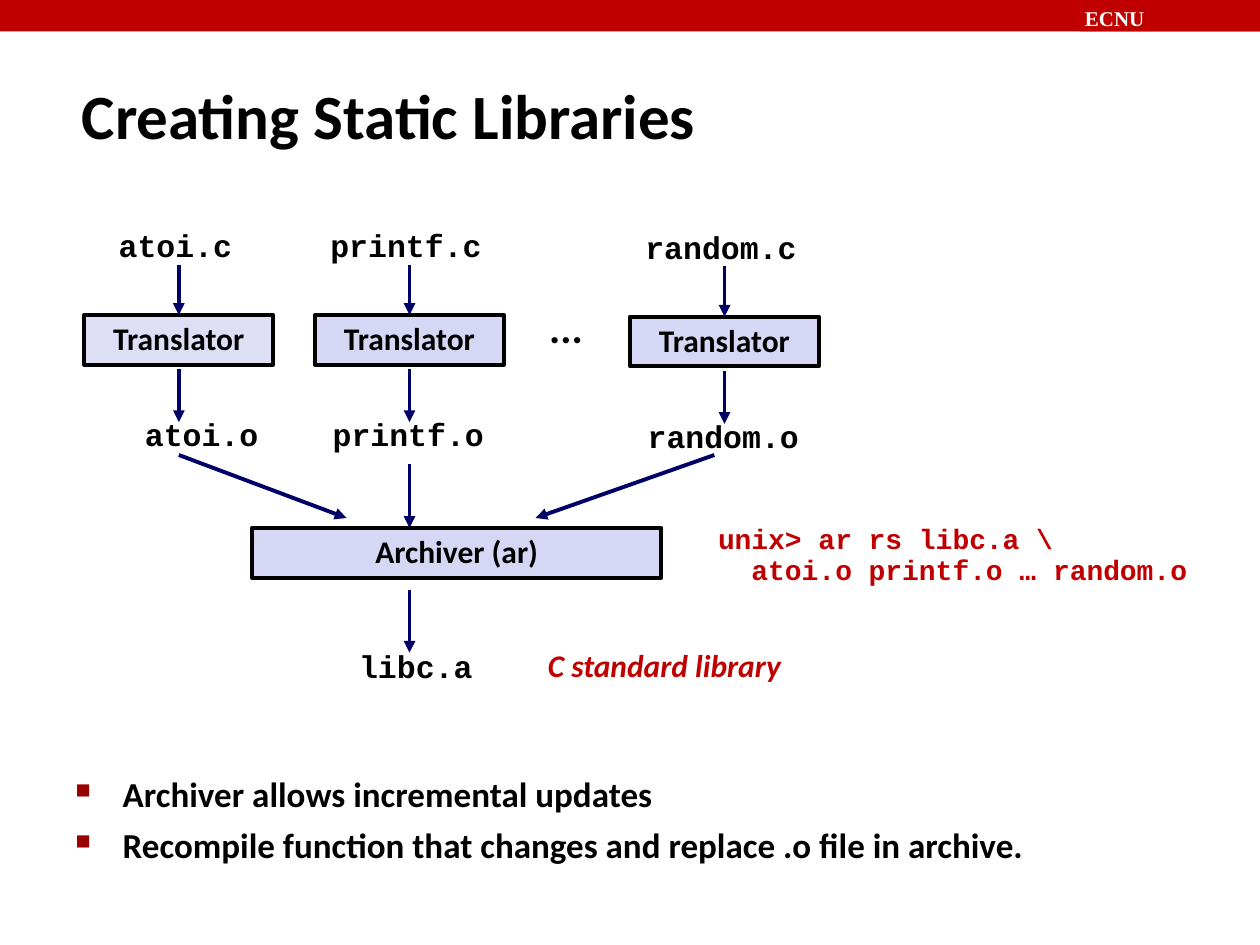
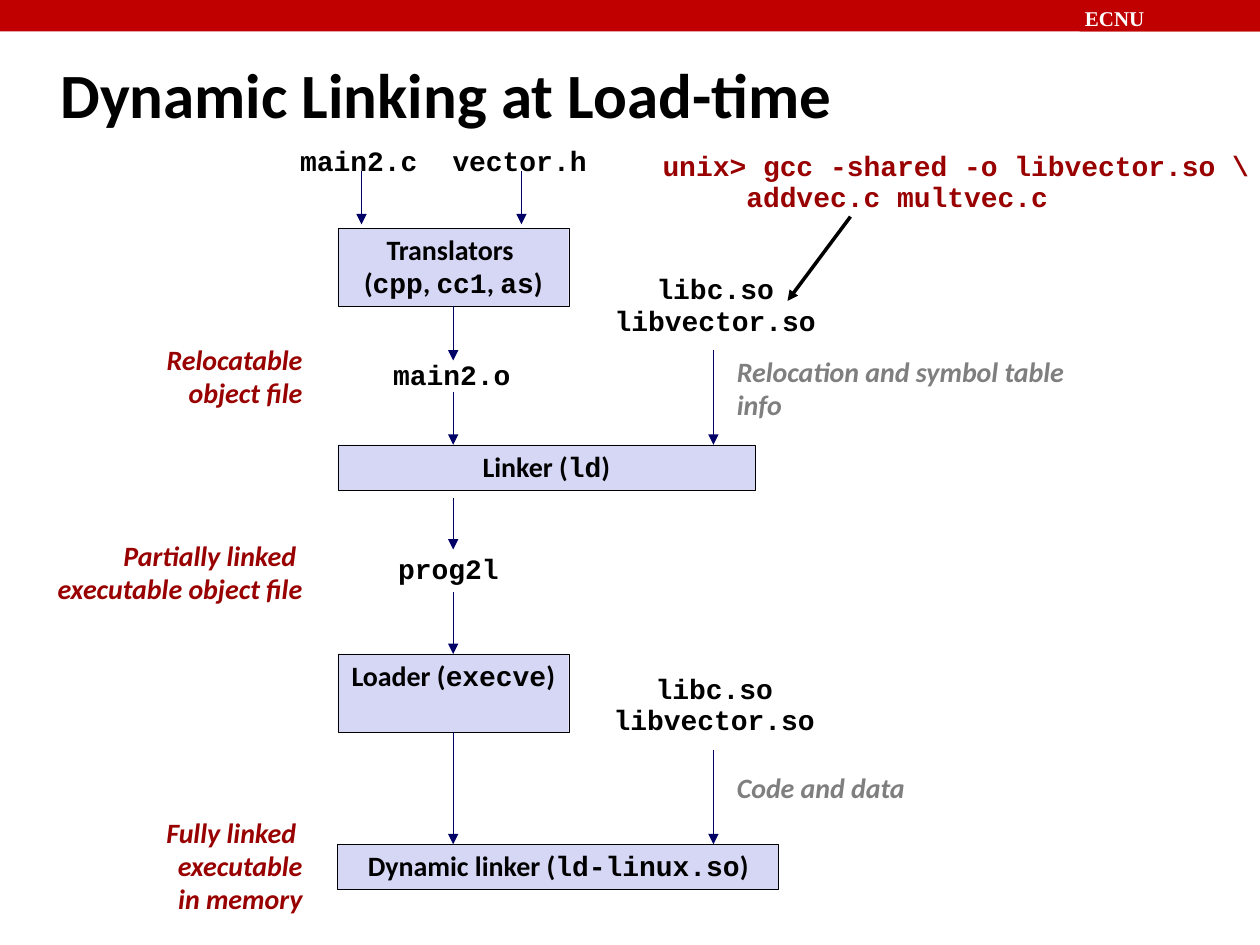
from dataclasses import dataclass

from lxml.etree import SubElement
from pptx import Presentation
from pptx.dml.color import RGBColor
from pptx.enum.shapes import MSO_CONNECTOR, MSO_SHAPE
from pptx.enum.text import MSO_ANCHOR, MSO_AUTO_SIZE, PP_ALIGN
from pptx.oxml.ns import qn
from pptx.util import Pt


@dataclass(frozen=True)
class Theme:
    """Colours, fonts and type sizes used on both slides."""

    band: str = "C00000"
    accent: str = "990000"
    ink: str = "000000"
    paper: str = "FFFFFF"
    muted: str = "7F7F7F"
    arrow: str = "000066"
    box: str = "D6D6F5"
    pale_box: str = "DEDFF5"
    sans: str = "Calibri"
    mono: str = "Courier New"
    serif: str = "Times New Roman"
    title: int = 36
    dots: int = 24
    bullet: int = 20
    large: int = 18
    normal: int = 16
    tag: int = 12


THEME = Theme()
TOP, BOTTOM = 0, 2
SANS_SPACING, MONO_SPACING = 0.98, 0.94


def rgb(value):
    """Turn a hex string into a colour."""
    return RGBColor.from_string(value)


def style_run(run, size, color, face, italic=False):
    """Apply one bold type style to a run."""
    formats = {"size": Pt(size), "name": face, "bold": True, "italic": italic}
    for name, value in formats.items():
        setattr(run.font, name, value)
    run.font.color.rgb = rgb(color)


def write(shape, text, size, color=THEME.ink, face=THEME.sans, italic=False,
          align=PP_ALIGN.LEFT, spacing=SANS_SPACING, wrap=True, grow=True,
          anchor=MSO_ANCHOR.TOP, insets=(7.2, 3.6)):
    """Fill a shape with lines of text; words between backticks are monospaced."""
    frame = shape.text_frame
    side, edge = map(Pt, insets)
    formats = {
        "word_wrap": wrap, "vertical_anchor": anchor,
        "margin_left": side, "margin_right": side,
        "margin_top": edge, "margin_bottom": edge,
        "auto_size": MSO_AUTO_SIZE.SHAPE_TO_FIT_TEXT if grow else MSO_AUTO_SIZE.NONE,
    }
    for name, value in formats.items():
        setattr(frame, name, value)
    for index, line in enumerate(text.split("\n")):
        paragraph = frame.add_paragraph() if index else frame.paragraphs[0]
        paragraph.alignment = align
        paragraph.line_spacing = spacing
        for part, words in enumerate(line.split("`")):
            if words:
                run = paragraph.add_run()
                run.text = words
                style_run(run, size, color, THEME.mono if part % 2 else face, italic)
    return frame


def add_text(slide, place, text, size, **style):
    """Add a text box at (left, top, width, height)."""
    return write(slide.shapes.add_textbox(*map(Pt, place)), text, size, **style)


def add_block(slide, place, fill, border=None):
    """Add a filled rectangle, outlined when a border width is given."""
    block = slide.shapes.add_shape(MSO_SHAPE.RECTANGLE, *map(Pt, place))
    block.shadow.inherit = False
    block.fill.solid()
    block.fill.fore_color.rgb = rgb(fill)
    if border:
        block.line.color.rgb = rgb(THEME.ink)
        block.line.width = Pt(border)
    else:
        block.line.fill.background()
    return block


def add_step(slide, place, text, size, border, fill=THEME.box):
    """Add a tool of the build chain as a labelled rectangle."""
    step = add_block(slide, place, fill, border)
    write(step, text, size, align=PP_ALIGN.CENTER)
    return step


def code_size(text, size):
    """Return the box width and height that monospaced lines need."""
    lines = text.split("\n")
    width = 0.6 * size * max(map(len, lines)) + 14.4
    return width, 1.13 * size * len(lines) + 7.2


def add_files(slide, center, top, text, size):
    """Add file names centred on a given x."""
    width, height = code_size(text, size)
    add_text(slide, (center - width / 2, top, width, height), text, size,
             face=THEME.mono, align=PP_ALIGN.CENTER, spacing=MONO_SPACING, wrap=False)


def add_command(slide, left, top, text, color):
    """Add a shell command."""
    add_text(slide, (left, top, *code_size(text, THEME.normal)), text, THEME.normal,
             color=color, face=THEME.mono, spacing=MONO_SPACING, wrap=False)


def add_arrow(slide, start, end, width, color=THEME.arrow, source=None, target=None):
    """Add an arrow, joined to the bottom of a source or the top of a target."""
    arrow = slide.shapes.add_connector(MSO_CONNECTOR.STRAIGHT, *map(Pt, (*start, *end)))
    if source:
        arrow.begin_connect(source, BOTTOM)
    if target:
        arrow.end_connect(target, TOP)
    arrow.line.color.rgb = rgb(color)
    arrow.line.width = Pt(width)
    SubElement(arrow.line._get_or_add_ln(), qn("a:tailEnd"), type="triangle")
    SubElement(arrow._element.spPr, qn("a:effectLst"))


def add_bullets(slide, place, text):
    """Add a list with small square bullets."""
    frame = add_text(slide, place, text, THEME.bullet, spacing=1.0, grow=False)
    for index, paragraph in enumerate(frame.paragraphs):
        if index:
            paragraph.space_before = Pt(5)
        properties = paragraph._p.get_or_add_pPr()
        properties.set("marL", str(Pt(27)))
        properties.set("indent", str(-Pt(27)))
        color = SubElement(properties, qn("a:buClr"))
        SubElement(color, qn("a:srgbClr"), val=THEME.accent)
        SubElement(properties, qn("a:buSzPct"), val="60000")
        SubElement(properties, qn("a:buChar"), char="■")


def add_page(deck, title, left, top):
    """Add a slide with the red band, the school tag and a title."""
    slide = deck.slides.add_slide(deck.slide_layouts[6])
    add_block(slide, (0, 0, 720, 18), THEME.band)
    tag = add_block(slide, (617, 0, 103, 18), THEME.band)
    write(tag, "ECNU", THEME.tag, THEME.paper, THEME.serif,
          spacing=1.0, grow=False, insets=(3, 3))
    add_text(slide, (left, top, 680, 61.5), title, THEME.title,
             spacing=1.0, grow=False, anchor=MSO_ANCHOR.MIDDLE)
    return slide


def build_static_libraries(deck):
    """Show how object files are archived into a static library."""
    slide = add_page(deck, "Creating Static Libraries", 39.6, 34.6)
    size, border = THEME.large, 2.25
    columns = (
        ("atoi", 102.2, 115.2, 0, THEME.pale_box),
        ("printf", 234, 233.3, 0, THEME.box),
        ("random", 414, 413.3, 1, THEME.box),
    )
    for stem, x, object_x, drop, fill in columns:
        add_files(slide, x - 2, 127.4 + drop, f"{stem}.c", size)
        add_files(slide, object_x, 235.4 + drop, f"{stem}.o", size)
        translator = add_step(slide, (x - 54, 180 + drop, 108, 28.4),
                              "Translator", size, border, fill)
        add_arrow(slide, (x, 151.2 + drop), (x, 180 + drop), border, target=translator)
        add_arrow(slide, (x, 211 + drop), (x, 241.2 + drop), border)
    add_text(slide, (306.7, 170, 48, 35.3), "...", THEME.dots)

    add_step(slide, (144, 301.7, 234, 28.4), "Archiver (ar)", size, border)
    add_arrow(slide, (102.2, 260), (198, 296), border)
    add_arrow(slide, (234, 265), (234, 301.7), border)
    add_arrow(slide, (408.2, 260), (306, 296), border)
    add_arrow(slide, (234, 337), (234, 373), border)
    add_files(slide, 237.6, 368, "libc.a", size)
    add_text(slide, (306, 366.5, 234, 28.8), "C standard library", size,
             color=THEME.band, italic=True)
    add_command(slide, 403.2, 296,
                "unix> ar rs libc.a \\\n  atoi.o printf.o … random.o", THEME.band)
    add_bullets(slide, (36, 437.8, 654.5, 84.2),
                "Archiver allows incremental updates\n"
                "Recompile function that changes and replace .o file in archive.")


def build_dynamic_linking(deck):
    """Show how shared libraries are linked when a program is loaded."""
    slide = add_page(deck, "Dynamic Linking at Load-time", 27.4, 22.3)
    size, border, left, spine, shared = THEME.normal, 0.25, 193, 259, 407.7

    steps = (
        ("Translators \n(`cpp`, `cc1`, `as`)", 130.3, 132, 44.6),
        ("Linker (`ld`)", 254.2, 238.3, 25.9),
        ("Loader (`execve`)", 373.7, 132, 44.6),
        ("Dynamic linker (`ld-linux.so`)", 482.4, 252, 25.9),
    )
    translators, _, loader, _ = [
        add_step(slide, (left, top, width, height), text, size, border)
        for text, top, width, height in steps
    ]

    files = (
        ("main2.c", 205, 79.9),
        ("vector.h", 296.9, 79.9),
        ("main2.o", 258.2, 202.3),
        ("prog2l", 256.3, 313.2),
        ("libc.so\nlibvector.so", 408.7, 153.4),
        ("libc.so\nlibvector.so", 408.2, 381.6),
    )
    for text, center, top in files:
        add_files(slide, center, top, text, size)

    arrows = (
        (206.6, 98, 128.2, None, None),
        (298, 98, 128.2, None, None),
        (spine, 174.9, 206, translators, None),
        (spine, 224, 254.2, None, None),
        (spine, 284.4, 314, None, None),
        (spine, 338.4, 373.7, None, loader),
        (spine, 418.3, 482.4, loader, None),
        (shared, 200.2, 254.2, None, None),
        (shared, 428.4, 482.4, None, None),
    )
    for x, top, bottom, source, target in arrows:
        add_arrow(slide, (x, top), (x, bottom), border, source=source, target=target)

    stages = (
        ("Relocatable\nobject file", 193, 108, 44.6),
        ("Partially linked \nexecutable object file", 305.3, 180, 44.6),
        ("Fully linked \nexecutable\nin memory", 463.7, 138, 64),
    )
    for text, top, width, height in stages:
        add_text(slide, (180 - width, top, width, height), text, size,
                 color=THEME.accent, italic=True, align=PP_ALIGN.RIGHT)

    inputs = (
        ("Relocation and symbol table info", 200.2, 205, 44.6),
        ("Code and data", 437.8, 139.7, 25.9),
    )
    for text, top, width, height in inputs:
        add_text(slide, (414, top, width, height), text, size,
                 color=THEME.muted, italic=True)

    add_command(slide, 371.5, 82.8,
                "unix> gcc -shared -o libvector.so \\\n     addvec.c multvec.c",
                THEME.accent)
    add_arrow(slide, (486, 123.8), (450, 172), 2, THEME.ink)


def main():
    """Build both slides and save the deck."""
    deck = Presentation()
    deck.slide_width, deck.slide_height = Pt(720), Pt(540)
    build_static_libraries(deck)
    build_dynamic_linking(deck)
    deck.save("out.pptx")


if __name__ == "__main__":
    main()
